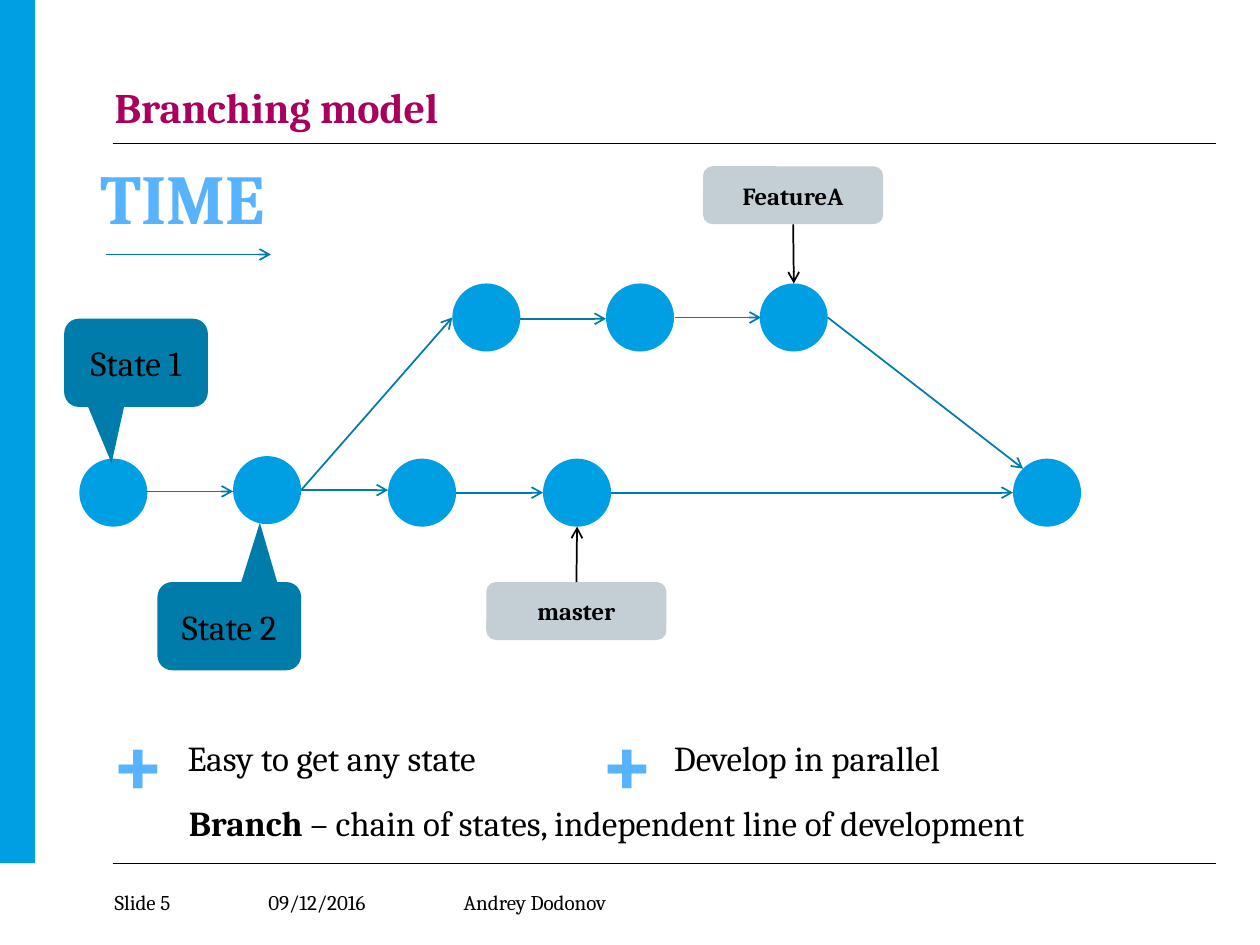
from lxml import etree
from pptx import Presentation, util as u
from pptx.dml import color
from pptx.enum import shapes, text
from pptx.oxml import ns

COLORS = {"blue": "009EE3", "teal": "007CAA", "sky": "58B3FF", "grey": "C3CED5",
          "plum": "A8005C", "black": "000000"}
FONT = "Cambria"
COLS, ROWS = 100, 75
DOT = 5.4


class Board:
    def __init__(self, prs):
        self.prs = prs
        self.s = prs.slides.add_slide(prs.slide_layouts[6])

    def x(self, cols):
        return round(self.prs.slide_width * cols / COLS)

    def y(self, rows):
        return round(self.prs.slide_height * rows / ROWS)

    def box(self, left, top, width, height):
        return self.x(left), self.y(top), self.x(width), self.y(height)

    def rgb(self, name):
        return color.RGBColor.from_string(COLORS[name])

    def add_words(self, tf, parts, size, ink, align):
        p = tf.paragraphs[0]
        p.alignment = align
        for words, bold in parts:
            r = p.add_run()
            r.text = words
            r.font.name = FONT
            r.font.size = u.Pt(size)
            r.font.bold = bold
            r.font.color.rgb = self.rgb(ink)
        return p

    def text(self, at, parts, size, ink="black", align=text.PP_ALIGN.LEFT,
             wrap=False, flush=False):
        tf = self.s.shapes.add_textbox(*self.box(*at)).text_frame
        tf.word_wrap = wrap
        if flush:
            tf.margin_left = tf.margin_right = tf.margin_top = tf.margin_bottom = 0
            tf.vertical_anchor = text.MSO_ANCHOR.MIDDLE
        else:
            tf.auto_size = text.MSO_AUTO_SIZE.SHAPE_TO_FIT_TEXT
        return self.add_words(tf, parts, size, ink, align)

    def shape(self, kind, at, fill):
        sp = self.s.shapes.add_shape(kind, *self.box(*at))
        sp.shadow.inherit = False
        sp.fill.solid()
        sp.fill.fore_color.rgb = self.rgb(fill)
        sp.line.fill.background()
        return sp

    def label(self, kind, at, fill, words, size, bold=False):
        sp = self.shape(kind, at, fill)
        tf = sp.text_frame
        tf.word_wrap = True
        tf.vertical_anchor = text.MSO_ANCHOR.MIDDLE
        self.add_words(tf, [(words, bold)], size, "black", text.PP_ALIGN.CENTER)
        return sp

    def callout(self, left, top, words, tip):
        sp = self.label(shapes.MSO_SHAPE.ROUNDED_RECTANGULAR_CALLOUT,
                        (left, top, 11.4, 7), "teal", words, 20)
        for i, value in enumerate((*tip, 0.167)):
            sp.adjustments[i] = value

    def dot(self, left, top):
        return self.shape(shapes.MSO_SHAPE.OVAL, (left, top, DOT, DOT), "blue")

    def line(self, start, end, ink="black", width=0.5):
        c = self.s.shapes.add_connector(
            shapes.MSO_CONNECTOR.STRAIGHT, self.x(start[0]), self.y(start[1]),
            self.x(end[0]), self.y(end[1]))
        c.line.color.rgb = self.rgb(ink)
        c.line.width = u.Pt(width)
        etree.SubElement(c._element.spPr, ns.qn("a:effectLst"))
        return c

    def arrow(self, start, end, ink="teal"):
        c = self.line(start, end, ink, 1)
        ln = c._element.spPr.find(ns.qn("a:ln"))
        etree.SubElement(ln, ns.qn("a:tailEnd"), type="arrow")
        return c

    def branch_name(self, left, top, words, side, target):
        sp = self.label(shapes.MSO_SHAPE.ROUNDED_RECTANGLE,
                        (left, top, 14.3, 4.6), "grey", words, 14, True)
        self.arrow((left, top), target, "black").begin_connect(sp, side)


def main():
    prs = Presentation()
    prs.slide_width, prs.slide_height = u.Inches(10), u.Inches(7.5)
    b = Board(prs)

    b.shape(shapes.MSO_SHAPE.RECTANGLE, (0, 0, 2.8, 68.5), "blue")
    for row in (11.4, 68.5):
        b.line((9, row), (96.5, row))
    title = b.text((9.1, 6.8, 87.4, 3.9), [("Branching model", True)], 24, "plum", flush=True)
    title.line_spacing = 0.9
    for left, width, words in ((9.1, 6.2, "Slide 5"), (21.3, 9.6, "09/12/2016"),
                               (36.8, 12.6, "Andrey Dodonov")):
        b.text((left, 70.6, width, 2), [(words, False)], 12, flush=True)

    b.text((6.5, 11.8, 16, 7.7), [("TIME", True)], 40, "sky", text.PP_ALIGN.CENTER)
    b.arrow((8.4, 20.2), (21.5, 20.2))

    for left, top in ((6.3, 36.4), (18.5, 36.2), (30.8, 36.4), (43.1, 36.4), (80.4, 36.4)):
        b.dot(left, top)
    for i in range(3):
        b.dot(35.9 + 12.2 * i, 22.5)

    for start, end in (
        ((11.6, 39), (18.5, 39)), ((23.9, 38.9), (30.8, 38.9)),
        ((36.2, 39.1), (43.1, 39.1)), ((48.5, 39.1), (80.4, 39.1)),
        ((23.9, 38.9), (35.9, 25.2)), ((41.3, 25.3), (48.1, 25.3)),
        ((53.6, 25.2), (60.4, 25.2)), ((65.7, 25.2), (81.2, 37.2)),
    ):
        b.arrow(start, end)

    b.branch_name(38.6, 46.2, "master", 0, (45.8, 41.8))
    b.branch_name(55.8, 13.2, "FeatureA", 2, (63, 22.5))
    b.callout(5.1, 25.3, "State 1", (-0.17, 1.138))
    b.callout(12.5, 46.2, "State 2", (0.213, -1.174))

    for plus, left, width, words in ((7.8, 13.9, 27.1, "Easy to get any state"),
                                     (46.6, 52.5, 24.8, "Develop in parallel")):
        b.text((plus, 55.2, 6.1, 10.1), [("+", True)], 54, "sky",
               text.PP_ALIGN.CENTER, wrap=True)
        b.text((left, 58, width, 4.4), [(words, False)], 20)
    b.text((14, 63.1, 73.7, 4.4),
           [("Branch ", True), ("– chain of states, independent line of development", False)], 20)

    prs.save("out.pptx")


if __name__ == "__main__":
    main()
